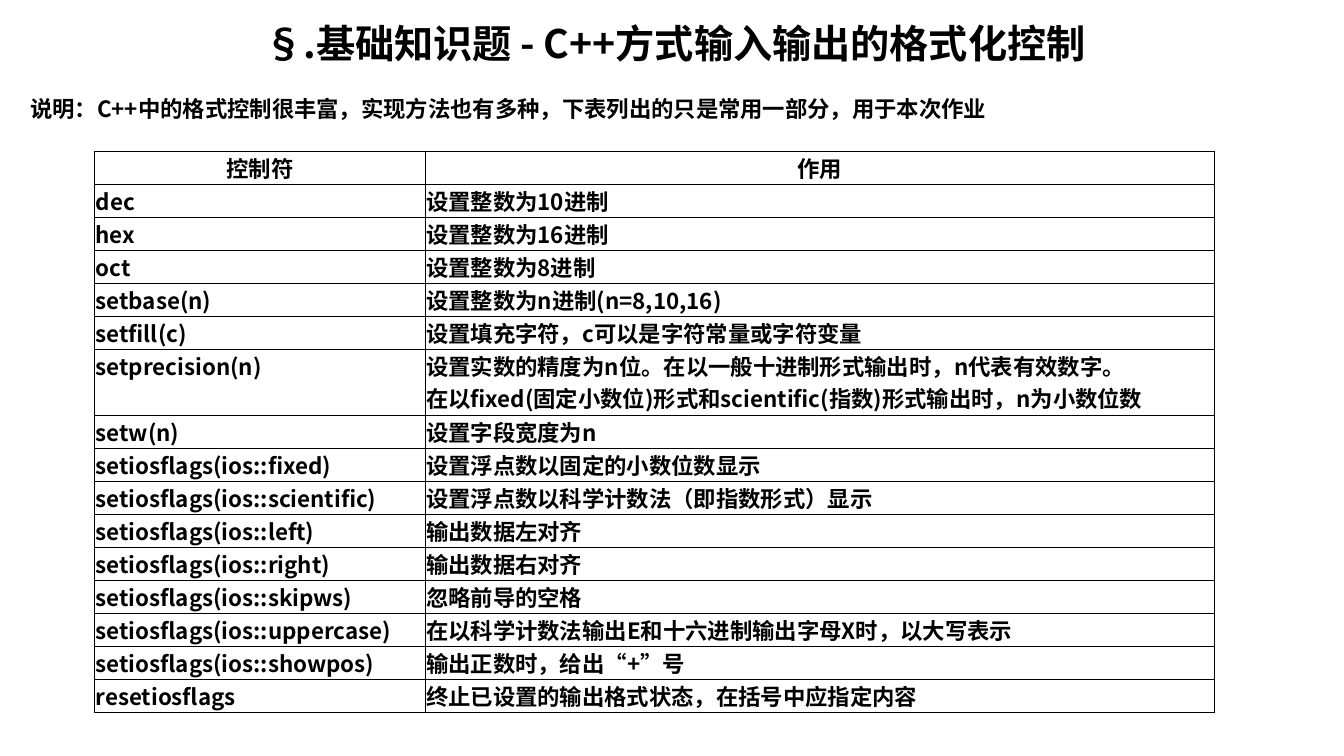
from dataclasses import dataclass

from lxml.etree import SubElement
from pptx import Presentation
from pptx.dml.color import RGBColor
from pptx.enum.text import MSO_ANCHOR as Anchor, PP_ALIGN as Align
from pptx.oxml import parse_xml
from pptx.oxml.ns import qn
from pptx.util import Pt

FONT = "Noto Sans CJK SC"
COLORS = {"ink": "000000", "paper": "FFFFFF"}
DRAWING_NS = "http://schemas.openxmlformats.org/drawingml/2006/main"
BODY_SIZE = 16
LINE_HEIGHT = 23.6
COLUMN_WIDTHS = (236, 564)


@dataclass(frozen=True)
class Manipulator:
    name: str
    effects: tuple[str, ...]


HEADING = Manipulator("控制符", ("作用",))
MANIPULATORS = [
    Manipulator("dec", ("设置整数为10进制",)),
    Manipulator("hex", ("设置整数为16进制",)),
    Manipulator("oct", ("设置整数为8进制",)),
    Manipulator("setbase(n)", ("设置整数为n进制(n=8,10,16)",)),
    Manipulator("setfill(c)", ("设置填充字符，c可以是字符常量或字符变量",)),
    Manipulator("setprecision(n)", (
        "设置实数的精度为n位。在以一般十进制形式输出时，n代表有效数字。",
        "在以fixed(固定小数位)形式和scientific(指数)形式输出时，n为小数位数",
    )),
    Manipulator("setw(n)", ("设置字段宽度为n",)),
    Manipulator("setiosflags(ios::fixed)", ("设置浮点数以固定的小数位数显示",)),
    Manipulator("setiosflags(ios::scientific)", ("设置浮点数以科学计数法（即指数形式）显示",)),
    Manipulator("setiosflags(ios::left)", ("输出数据左对齐",)),
    Manipulator("setiosflags(ios::right)", ("输出数据右对齐",)),
    Manipulator("setiosflags(ios::skipws)", ("忽略前导的空格",)),
    Manipulator("setiosflags(ios::uppercase)", ("在以科学计数法输出E和十六进制输出字母X时，以大写表示",)),
    Manipulator("setiosflags(ios::showpos)", ("输出正数时，给出“+”号",)),
    Manipulator("resetiosflags", ("终止已设置的输出格式状态，在括号中应指定内容",)),
]


def add_text(paragraph, text: str, size: float, align: Align) -> None:
    paragraph.alignment = align
    run = paragraph.add_run()
    run.text = text
    run.font.size = Pt(size)
    run.font.bold = True
    run.font.color.rgb = RGBColor.from_string(COLORS["ink"])
    run.font.name = FONT
    SubElement(run.font._element, qn("a:ea"), typeface=FONT)


def add_borders(cell) -> None:
    properties = cell._tc.get_or_add_tcPr()
    for index, side in enumerate(("lnL", "lnR", "lnT", "lnB")):
        properties.insert(index, parse_xml(
            f'<a:{side} xmlns:a="{DRAWING_NS}" w="{Pt(1)}"><a:solidFill>'
            f'<a:srgbClr val="{COLORS["ink"]}"/></a:solidFill></a:{side}>'))


def fill_cell(cell, lines: tuple[str, ...], is_heading: bool) -> None:
    cell.margin_left = cell.margin_right = Pt(0.7)
    cell.margin_top = cell.margin_bottom = Pt(0)
    cell.vertical_anchor = Anchor.MIDDLE if is_heading else Anchor.TOP
    cell.fill.solid()
    cell.fill.fore_color.rgb = RGBColor.from_string(COLORS["paper"])
    add_borders(cell)
    frame = cell.text_frame
    for index, line in enumerate(lines):
        paragraph = frame.add_paragraph() if index else frame.paragraphs[0]
        add_text(paragraph, line, BODY_SIZE, Align.CENTER if is_heading else Align.LEFT)


def add_introduction(slide) -> None:
    frame = slide.shapes.add_textbox(Pt(14.4), Pt(13), Pt(935.3), Pt(510.5)).text_frame
    frame.word_wrap = True
    frame.margin_top = Pt(7)
    title = frame.paragraphs[0]
    add_text(title, "§.基础知识题 - C++方式输入输出的格式化控制", 28, Align.CENTER)
    explanation = frame.add_paragraph()
    explanation.space_before = Pt(25)
    add_text(explanation,
             "说明：C++中的格式控制很丰富，实现方法也有多种，下表列出的只是常用一部分，用于本次作业",
             BODY_SIZE, Align.LEFT)
    for paragraph in (title, explanation):
        paragraph.line_spacing = 0.8


def add_manipulator_table(slide) -> None:
    entries = [HEADING, *MANIPULATORS]
    heights = [LINE_HEIGHT * len(entry.effects) for entry in entries]
    table = slide.shapes.add_table(
        len(entries), len(COLUMN_WIDTHS), Pt(67.7), Pt(108),
        Pt(sum(COLUMN_WIDTHS)), Pt(sum(heights))).table
    table.first_row = table.horz_banding = False
    for column, width in zip(table.columns, COLUMN_WIDTHS):
        column.width = Pt(width)
    for row, entry, height in zip(table.rows, entries, heights):
        row.height = Pt(height)
        for cell, lines in zip(row.cells, ((entry.name,), entry.effects)):
            fill_cell(cell, lines, entry is HEADING)


def main() -> None:
    presentation = Presentation()
    presentation.slide_width, presentation.slide_height = Pt(960), Pt(540)
    slide = presentation.slides.add_slide(presentation.slide_layouts[6])
    # Title and explanation
    add_introduction(slide)
    # Table of format manipulators
    add_manipulator_table(slide)
    presentation.save("out.pptx")


if __name__ == "__main__":
    main()
